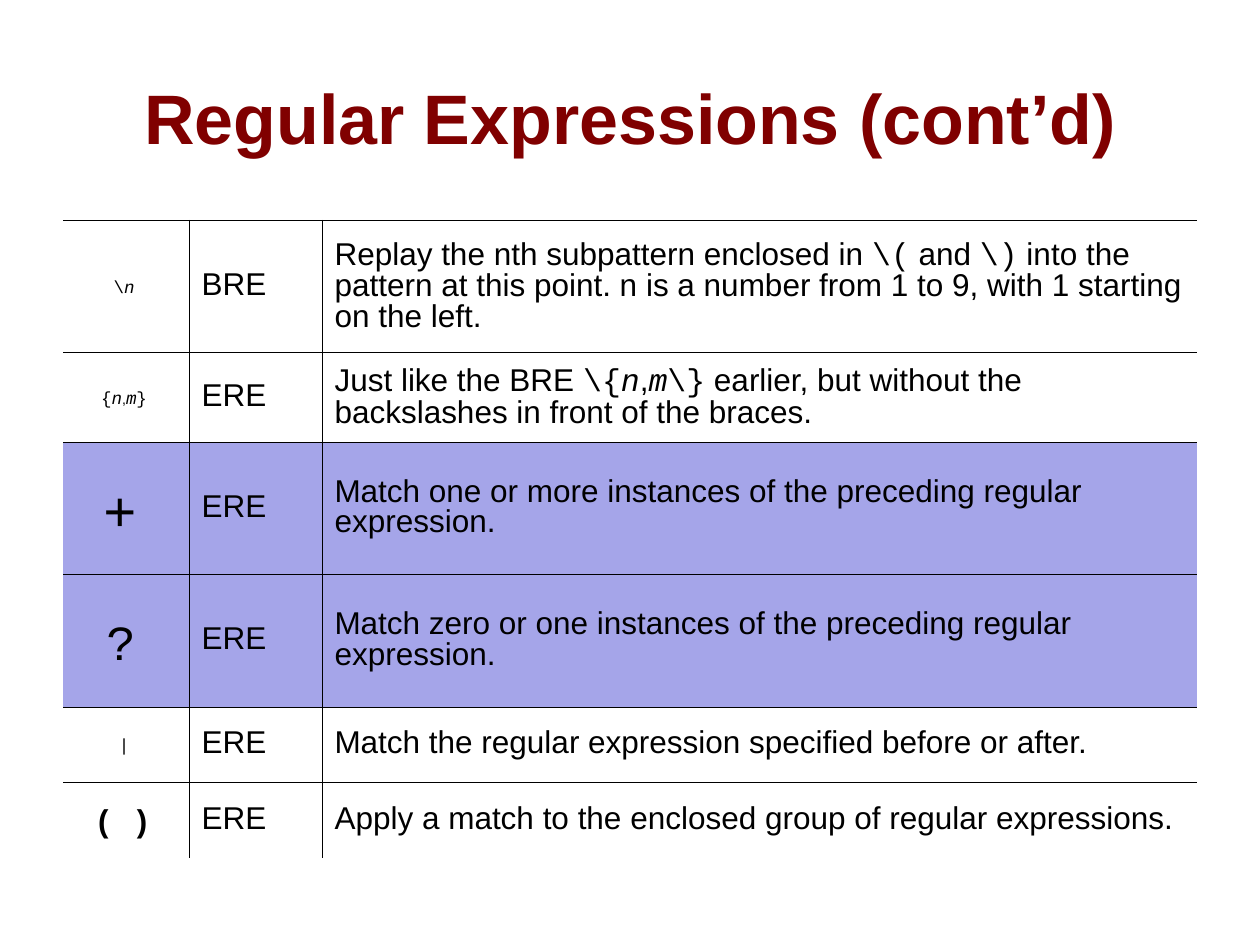
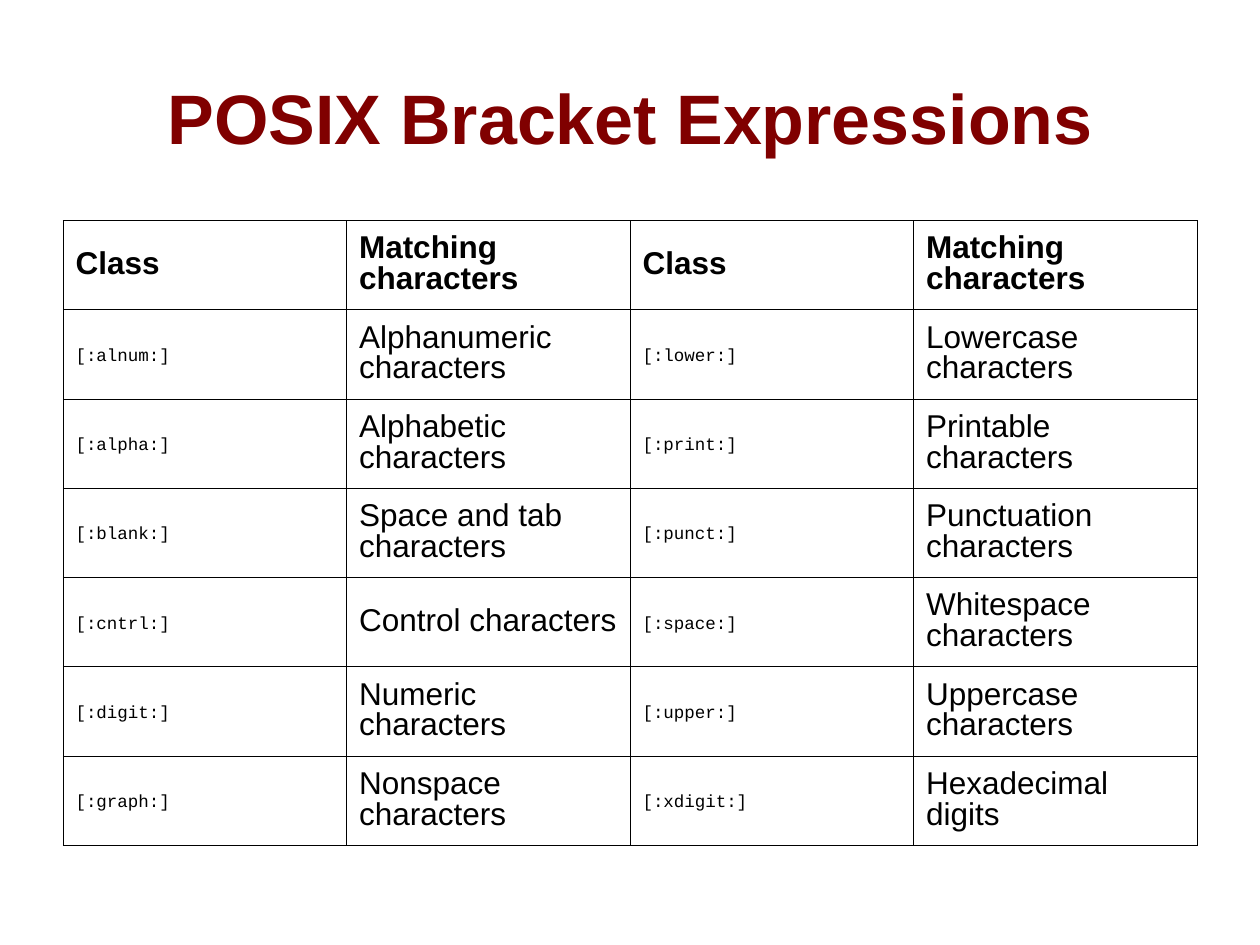
import lxml.etree
import pptx
import pptx.dml.color
import pptx.enum.text
import pptx.oxml.ns
import pptx.util
from pptx.util import Cm, Pt

BODY_FONT, CODE_FONT = "Arial", "Courier New"
TITLE_RED, BLACK, HIGHLIGHT = "800000", "000000", "A5A5E9"
LEFT, TABLE_TOP, WIDTH = 1.27, 4.44, 22.86
CENTER, START = pptx.enum.text.PP_ALIGN.CENTER, pptx.enum.text.PP_ALIGN.LEFT
MIDDLE = pptx.enum.text.MSO_ANCHOR.MIDDLE


def colour(hex_code):
    return pptx.dml.color.RGBColor.from_string(hex_code)


def write_markup(para, markup, size, code_size, bold):
    """Write text in which `...` marks code and _..._ inside it marks italics."""
    para.font.name, para.font.size, para.font.bold = BODY_FONT, Pt(size), bold
    para.font.color.rgb = colour(BLACK)
    for part_no, part in enumerate(markup.split("`")):
        is_code = part_no % 2 == 1
        for piece_no, piece in enumerate(part.split("_")):
            if not piece:
                continue
            span = para.add_run()
            span.text = piece
            if is_code:
                span.font.name, span.font.size = CODE_FONT, Pt(code_size)
                if piece_no % 2 == 1:
                    span.font.italic = True


# Operator, code size, size of the text around it, dialect, meaning
operators = [
    (r"`\_n_` ", 10, 8, "BRE",
     r"Replay the nth subpattern enclosed in `\(` and `\)` into the pattern at this point. "
     "n is a number from 1 to 9, with 1 starting on the left."),
    ("`{_n_`,`_m_}` ", 10, 8, "ERE",
     r"Just like the BRE `\{_n_`,`_m_\}` earlier, but without the backslashes "
     "in front of the braces."),
    ("`+` ", 32, 24, "ERE", "Match one or more instances of the preceding regular expression."),
    ("`?` ", 28, 20, "ERE", "Match zero or one instances of the preceding regular expression."),
    ("`|` ", 10, 8, "ERE", "Match the regular expression specified before or after."),
    ("`( )` ", 18, 14, "ERE", "Apply a match to the enclosed group of regular expressions."),
]
classes = [
    ("alnum", "Alphanumeric characters", "lower", "Lowercase characters"),
    ("alpha", "Alphabetic characters", "print", "Printable characters"),
    ("blank", "Space and tab characters", "punct", "Punctuation characters"),
    ("cntrl", "Control characters", "space", "Whitespace characters"),
    ("digit", "Numeric characters", "upper", "Uppercase characters"),
    ("graph", "Nonspace characters", "xdigit", "Hexadecimal digits"),
]

# Every cell is (markup, text size, code size, bold, line spacing, alignment)
operator_rows = [
    [(symbol, size, code_size, symbol.startswith("`("), 1.25, CENTER),
     (dialect, 18, 18, False, 0.87, START),
     (meaning, 18, 18, False, 0.87, START)]
    for symbol, code_size, size, dialect, meaning in operators
]
class_rows = [[(heading, 18, 18, True, 0.87, START)
               for heading in ("Class", "Matching characters") * 2]]
for names in classes:
    class_rows.append([
        (f"`[:{name}:]` ", 8, 10, False, 1.25, START) if column % 2 == 0
        else (name, 18, 18, False, 0.87, START)
        for column, name in enumerate(names)
    ])

pages = [
    {"title": "Regular Expressions (cont’d)", "rows": operator_rows, "line": 0.45,
     "widths": [2.54, 2.68, 17.64], "heights": [2.67, 1.8, 2.67, 2.67, 1.52, 1.52],
     "open_sides": ("L", "R", "B"), "highlighted": (2, 3)},
    {"title": "POSIX Bracket Expressions", "rows": class_rows, "line": 0.34,
     "widths": [WIDTH / 4] * 4, "heights": [1.8] * 7,
     "open_sides": (), "highlighted": ()},
]

deck = pptx.Presentation()
deck.slide_width, deck.slide_height = Cm(25.4), Cm(19.05)

for content in pages:
    page = deck.slides.add_slide(deck.slide_layouts[6])

    title = page.shapes.add_textbox(Cm(LEFT), Cm(0.76), Cm(WIDTH), Cm(3.18)).text_frame
    title.word_wrap = True
    title.vertical_anchor = MIDDLE
    para = title.paragraphs[0]
    para.text, para.alignment = content["title"], CENTER
    para.font.name, para.font.size, para.font.bold = BODY_FONT, Pt(40), True
    para.font.color.rgb = colour(TITLE_RED)

    rows, widths, heights = content["rows"], content["widths"], content["heights"]
    table = page.shapes.add_table(len(rows), len(widths), Cm(LEFT), Cm(TABLE_TOP),
                                  Cm(WIDTH), Cm(sum(heights))).table
    table.first_row = table.horz_banding = False
    for column, width in zip(table.columns, widths):
        column.width = Cm(width)

    for row_no, (row, height) in enumerate(zip(rows, heights)):
        table.rows[row_no].height = Cm(height)
        for column_no, (markup, size, code_size, bold, spacing, alignment) in enumerate(row):
            cell = table.cell(row_no, column_no)
            cell.vertical_anchor = MIDDLE
            para = cell.text_frame.paragraphs[0]
            para.alignment, para.line_spacing = alignment, spacing
            write_markup(para, markup, size, code_size, bold)

            at_edge = {"L": column_no == 0, "R": column_no == len(widths) - 1,
                       "T": row_no == 0, "B": row_no == len(rows) - 1}
            properties = cell._tc.get_or_add_tcPr()
            for side, is_outer in at_edge.items():
                border = lxml.etree.SubElement(properties, pptx.oxml.ns.qn(f"a:ln{side}"),
                                               w=str(int(Pt(content["line"]))))
                if is_outer and side in content["open_sides"]:
                    lxml.etree.SubElement(border, pptx.oxml.ns.qn("a:noFill"))
                else:
                    paint = lxml.etree.SubElement(border, pptx.oxml.ns.qn("a:solidFill"))
                    lxml.etree.SubElement(paint, pptx.oxml.ns.qn("a:srgbClr"), val=BLACK)

            if row_no in content["highlighted"]:
                cell.fill.solid()
                cell.fill.fore_color.rgb = colour(HIGHLIGHT)
            else:
                cell.fill.background()

deck.save("out.pptx")
